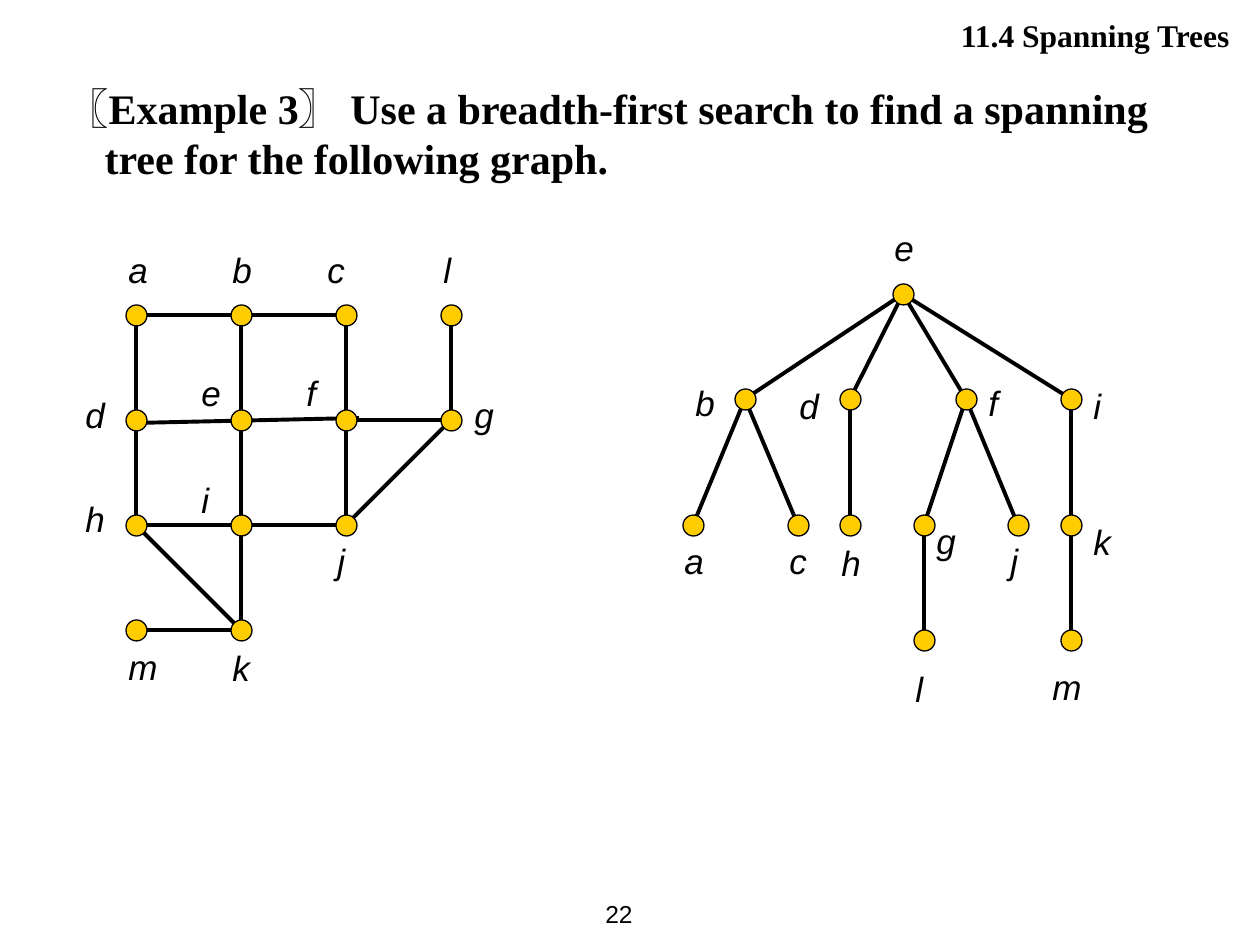
from lxml import etree
from pptx import Presentation
from pptx import util as u
from pptx.dml.color import RGBColor
from pptx.enum import shapes, text
from pptx.oxml.ns import qn

SCALE = 914400 / 126  # EMU in one px
STEP = 105            # grid step of the graph
DOT = 21
INK, GOLD = "000000", "FFCC00"


def px(n):
    return u.Emu(round(n * SCALE))


def color(code):
    return RGBColor.from_string(code)


def add_run(para, words, size, face, bold=False, slant=False):
    run = para.add_run()
    run.text = words
    font = run.font
    font.size, font.name = u.Pt(size), face
    font.bold, font.italic = bold, slant
    font.color.rgb = color(INK)


def add_box(parts, box, words, size, face, align=text.PP_ALIGN.LEFT, **look):
    item = parts.add_textbox(*map(px, box))
    frame = item.text_frame
    frame.word_wrap = True
    para = frame.paragraphs[0]
    para.alignment = align
    add_run(para, words, size, face, **look)
    return frame


def add_line(parts, start, end):
    line = parts.add_connector(shapes.MSO_CONNECTOR.STRAIGHT,
                               *map(px, (*start, *end)))
    line.line.color.rgb = color(INK)
    line.line.width = u.Pt(2.25)
    etree.SubElement(line._element.spPr, qn("a:effectLst"))


def add_dot(parts, x, y):
    half = DOT // 2
    dot = parts.add_shape(shapes.MSO_SHAPE.OVAL,
                          *map(px, (x - half, y - half, DOT, DOT)))
    dot.shadow.inherit = False
    dot.fill.solid()
    dot.fill.fore_color.rgb = color(GOLD)
    dot.line.color.rgb = color(INK)
    dot.line.width = u.Pt(0.75)


def add_net(parts, left, top, nodes, edges):
    """Nodes map a name to x, y and the label's offset from the node."""
    spots = {name: (left + x, top + y) for name, (x, y, *_) in nodes.items()}
    for start, end in edges.split():
        add_line(parts, spots[start], spots[end])
    for name, (_, _, dx, dy) in nodes.items():
        x, y = spots[name]
        add_box(parts, (x + dx, y + dy, 63, 54), name, 20, "Arial", slant=True)
    for spot in spots.values():
        add_dot(parts, *spot)


def add_graph(slide, left, top):
    cells = {  # column, row, label offset
        "a": (0, 0, -20, -73), "b": (1, 0, -21, -73),
        "c": (2, 0, -31, -73), "l": (3, 0, -20, -73),
        "d": (0, 1, -63, -33), "e": (1, 1, -52, -55),
        "f": (2, 1, -52, -55), "g": (3, 1, 11, -33),
        "h": (0, 2, -63, -34), "i": (1, 2, -52, -53),
        "j": (2, 2, -21, 8),
        "m": (0, 3, -20, 9), "k": (1, 3, -21, 10),
    }
    nodes = {name: (col * STEP, row * STEP, dx, dy)
             for name, (col, row, dx, dy) in cells.items()}
    parts = slide.shapes.add_group_shape().shapes
    # The line through d, e and f leans slightly
    add_line(parts, (left - 2, top + 108), (left + 223, top + 103))
    add_net(parts, left, top, nodes, "ab bc fg ah hj bi cj jg lg ik mk hk")


def add_tree(slide, left, top):
    nodes = {  # x, y, label offset
        "e": (210, 0, -21, -74),
        "b": (52, 105, -62, -24), "d": (157, 105, -63, -21),
        "f": (273, 105, 10, -24), "i": (378, 105, 10, -21),
        "a": (0, 231, -21, 8), "c": (105, 231, -21, 8),
        "h": (157, 231, -21, 10), "g": (231, 231, 0, -12),
        "j": (325, 231, -20, 8), "k": (378, 231, 10, -11),
        "l": (231, 346, -21, 21), "m": (378, 346, -31, 19),
    }
    add_net(slide.shapes, left, top, nodes,
            "eb ed ef ei ba bc dh fg fj ik km gl")


def add_title(slide, left, top, wide, high):
    title = slide.shapes.title
    title.left, title.top, title.width, title.height = map(
        px, (left, top, wide, high))
    frame = title.text_frame
    frame.word_wrap = True
    frame.auto_size = text.MSO_AUTO_SIZE.NONE
    frame.vertical_anchor = text.MSO_ANCHOR.TOP
    para = frame.paragraphs[0]
    para.alignment = text.PP_ALIGN.LEFT
    para.line_spacing = 1.0
    # Hanging indent for the second line
    props = para._p.get_or_add_pPr()
    props.set("marL", str(px(48)))
    props.set("indent", str(px(-38)))
    add_run(para, "〖Example 3〗 Use a breadth-first search to find a "
            "spanning tree for the following graph.",
            24, "Times New Roman", bold=True)


def main():
    deck = Presentation()
    deck.slide_width, deck.slide_height = px(1260), px(945)
    slide = deck.slides.add_slide(deck.slide_layouts[5])
    right = text.PP_ALIGN.RIGHT

    # Section name and title
    add_box(slide.shapes, (501, 10, 741, 50), "11.4 Spanning Trees", 18,
            "Times New Roman", right, bold=True)
    add_title(slide, 44, 76, 1153, 100)

    # Graph and its spanning tree
    add_graph(slide, 136, 315)
    add_tree(slide, 693, 294)

    # Page number
    page = add_box(slide.shapes, (561, 882, 84, 63), "22", 14, "Arial", right)
    page.vertical_anchor = text.MSO_ANCHOR.MIDDLE

    deck.save("out.pptx")


if __name__ == "__main__":
    main()
